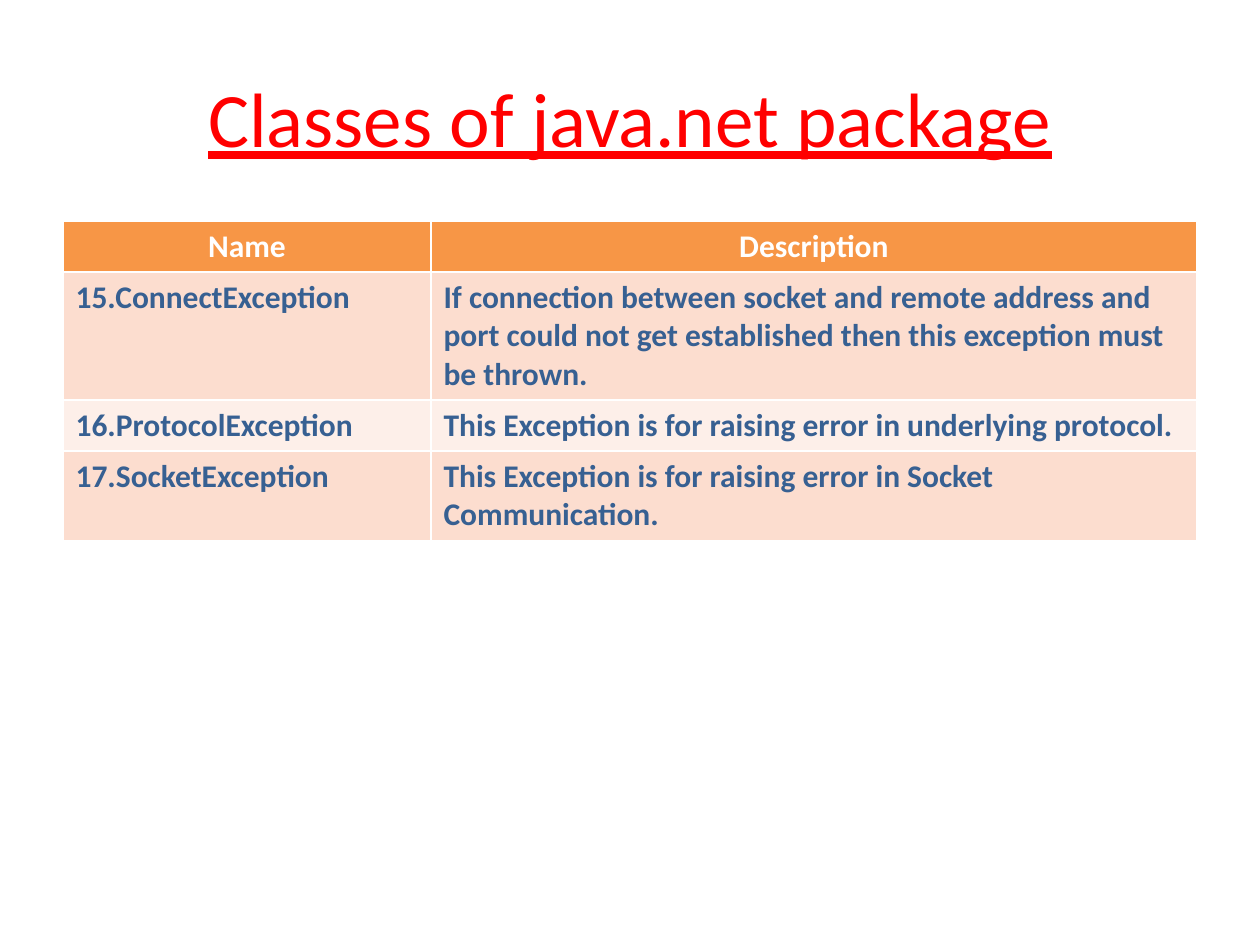
from pptx import Presentation
from pptx import util as u
from pptx.dml.color import RGBColor
from pptx.enum import text

RED = RGBColor(0xFF, 0x00, 0x00)
WHITE = RGBColor(0xFF, 0xFF, 0xFF)
ORANGE = RGBColor(0xF7, 0x96, 0x46)
BLUE = RGBColor(0x37, 0x60, 0x92)
BANDS = [RGBColor(0xFD, 0xEF, 0xE9), RGBColor(0xFC, 0xDD, 0xCF)]
FONT = "Calibri"


def px(n):
    return u.Emu(round(n * 914400 / 126))


prs = Presentation()
prs.slide_width, prs.slide_height = px(1260), px(945)
s = prs.slides.add_slide(prs.slide_layouts[5])

# Title
sp = s.shapes.title
sp.left, sp.top, sp.width, sp.height = px(63), px(38), px(1134), px(157)
tf = sp.text_frame
tf.text = "Classes of java.net package"
tf.vertical_anchor = text.MSO_ANCHOR.MIDDLE
p = tf.paragraphs[0]
p.alignment = text.PP_ALIGN.CENTER
p.font.name, p.font.size = FONT, u.Pt(44)
p.font.underline = True
p.font.color.rgb = RED

# Table of exception classes
rows = [
    ("Name", "Description"),
    ("15.ConnectException",
     "If connection between socket and remote address and port could not "
     "get established then this exception must be thrown."),
    ("16.ProtocolException",
     "This Exception is for raising error in underlying protocol."),
    ("17.SocketException",
     "This Exception is for raising error in Socket Communication."),
]
heights = [51, 117, 51, 51]
table = s.shapes.add_table(len(rows), 2, px(63), px(221),
                           px(1134), px(sum(heights))).table
for column, width in zip(table.columns, (368, 766)):
    column.width = px(width)

for i, row in enumerate(rows):
    table.rows[i].height = px(heights[i])
    header = i == 0
    for j, words in enumerate(row):
        cell = table.cell(i, j)
        cell.fill.solid()
        cell.fill.fore_color.rgb = ORANGE if header else BANDS[i % 2]
        cell.text = words
        p = cell.text_frame.paragraphs[0]
        p.alignment = text.PP_ALIGN.CENTER if header else text.PP_ALIGN.LEFT
        p.font.name, p.font.size, p.font.bold = FONT, u.Pt(18), True
        p.font.color.rgb = WHITE if header else BLUE

prs.save("out.pptx")
